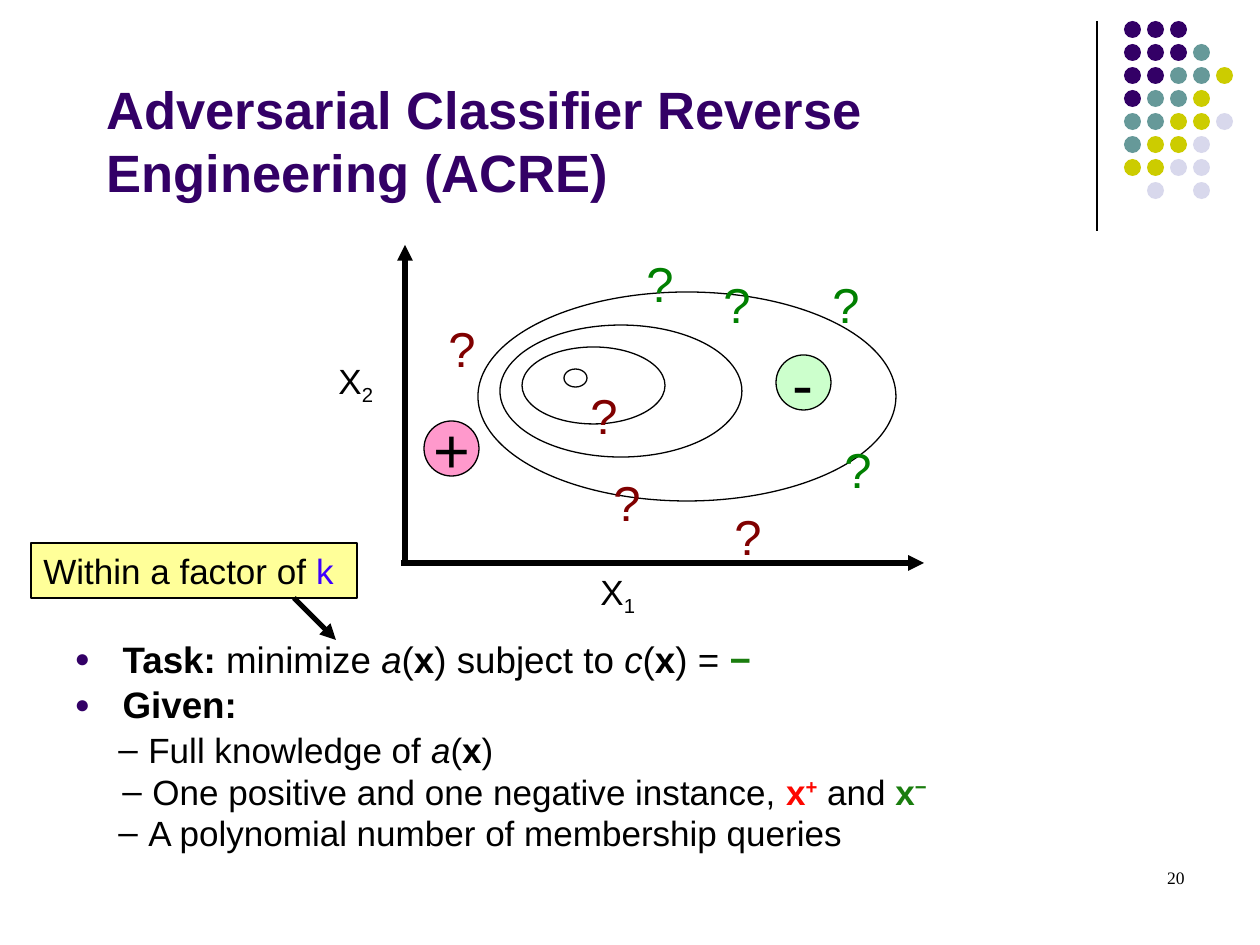
"""Build the slide on Adversarial Classifier Reverse Engineering (ACRE)."""
from lxml import etree
from pptx import Presentation
from pptx.dml.color import RGBColor
from pptx.enum.shapes import MSO_CONNECTOR, MSO_SHAPE
from pptx.enum.text import MSO_ANCHOR, MSO_AUTO_SIZE, PP_ALIGN
from pptx.oxml.ns import qn
from pptx.util import Pt

PX = 914400 / 126
OVAL, RECT = MSO_SHAPE.OVAL, MSO_SHAPE.RECTANGLE
STRAIGHT = MSO_CONNECTOR.STRAIGHT
TOP, MIDDLE, BOTTOM = MSO_ANCHOR.TOP, MSO_ANCHOR.MIDDLE, MSO_ANCHOR.BOTTOM
LEFT, CENTER, RIGHT = PP_ALIGN.LEFT, PP_ALIGN.CENTER, PP_ALIGN.RIGHT
NO_AUTOFIT = MSO_AUTO_SIZE.NONE
COLORS = {
    "black": "000000", "purple": "330066", "teal": "669999", "olive": "CCCC00",
    "lavender": "D8D8EC", "mint": "CCFFCC", "pink": "FF99CC", "yellow": "FFFF99",
    "green": "008000", "maroon": "800000", "minus": "1A7D0E", "plus": "FD0700",
    "blue": "3F00FF",
}


def write(paragraph, text, size=20, color="black", bold=False, italic=False,
          baseline=0, font="Arial"):
    run = paragraph.add_run()
    run.text = text
    run.font.size = Pt(size)
    run.font.name = font
    run.font.bold = bold
    run.font.italic = italic
    run.font.color.rgb = RGBColor.from_string(COLORS[color])
    if baseline:
        run.font._element.set("baseline", str(baseline * 1000))


def add_bullet(paragraph, char, color, percent, margin, hang):
    properties = paragraph._p.get_or_add_pPr()
    properties.set("marL", str(round(margin * PX)))
    properties.set("indent", str(round(-hang * PX)))
    bullet_color = etree.SubElement(properties, qn("a:buClr"))
    etree.SubElement(bullet_color, qn("a:srgbClr"), val=COLORS[color])
    etree.SubElement(properties, qn("a:buSzPct"), val=str(percent * 1000))
    etree.SubElement(properties, qn("a:buFont"), typeface="Arial")
    etree.SubElement(properties, qn("a:buChar"), char=char)


deck = Presentation()
deck.slide_width, deck.slide_height = round(1260 * PX), round(945 * PX)
slide = deck.slides.add_slide(deck.slide_layouts[1])
title, body = slide.shapes.title, slide.placeholders[1]

for holder, box, anchor in [
    (title, (94, 52, 1071, 157), BOTTOM),
    (body, (62, 630, 1134, 214), TOP),
]:
    holder.left, holder.top, holder.width, holder.height = [round(v * PX) for v in box]
    holder.text_frame.auto_size = NO_AUTOFIT
    holder.text_frame.vertical_anchor = anchor

heading = title.text_frame.paragraphs[0]
heading.alignment = LEFT
write(heading, "Adversarial Classifier Reverse Engineering (ACRE)",
      size=30, color="purple", bold=True)

task = body.text_frame.paragraphs[0]
given = body.text_frame.add_paragraph()
for item, gap in [(task, 0), (given, 1)]:
    add_bullet(item, "●", "purple", 70, 48, 48)
    item.space_before = Pt(gap)
for text, style in [
    ("Task:", {"bold": True}), (" minimize ", {}), ("a", {"italic": True}),
    ("(", {}), ("x", {"bold": True}), (") subject to ", {}),
    ("c", {"italic": True}), ("(", {}), ("x", {"bold": True}), (") = ", {}),
    ("−", {"bold": True, "color": "minus"}),
]:
    write(task, text, size=21, **style)
write(given, "Given:", size=21, bold=True)

DOT_COLORS = {"P": "purple", "T": "teal", "O": "olive", "L": "lavender"}
DOT_ROWS = ["PPP", "PPPT", "PPTTO", "PTTO", "TTOOL", "TOOL", "OOLL", "-L-L"]
figures = [
    (OVAL, (1124 + 23 * column, 21 + 23 * row, 17, 17), DOT_COLORS[dot], False, [])
    for row, dots in enumerate(DOT_ROWS)
    for column, dot in enumerate(dots) if dot in DOT_COLORS
]
contours = [(564, 369, 23, 18), (522, 347, 143, 77), (500, 325, 242, 132),
            (478, 292, 418, 209)]
figures += [(OVAL, contour, None, True, []) for contour in contours]
figures += [
    (OVAL, (776, 355, 55, 55), "mint", True, [("-", {"size": 36})]),
    (OVAL, (424, 421, 55, 55), "pink", True, [("+", {"size": 36})]),
    (RECT, (31, 543, 326, 55), "yellow", True,
     [("Within a factor of ", {}), ("k", {"color": "blue"})]),
]
for preset, box, fill, outlined, runs in figures:
    figure = slide.shapes.add_shape(preset, *[round(v * PX) for v in box])
    figure.shadow.inherit = False
    if fill:
        figure.fill.solid()
        figure.fill.fore_color.rgb = RGBColor.from_string(COLORS[fill])
    else:
        figure.fill.background()
    if outlined:
        figure.line.color.rgb = RGBColor.from_string(COLORS["black"])
        figure.line.width = Pt(0.75)
    else:
        figure.line.fill.background()
    if runs:
        figure.text_frame.word_wrap = preset == RECT
        figure.text_frame.vertical_anchor = TOP if preset == RECT else MIDDLE
        label = figure.text_frame.paragraphs[0]
        label.alignment = LEFT if preset == RECT else CENTER
        for text, style in runs:
            write(label, text, **style)

for ends, width, arrow in [
    ((1097, 21, 1097, 231), 0.75, False),
    ((405, 563, 405, 245), 3, True),
    ((401, 563, 924, 563), 3, True),
    ((294, 598, 336, 640), 3, True),
]:
    line = slide.shapes.add_connector(STRAIGHT, *[round(v * PX) for v in ends])
    line.line.color.rgb = RGBColor.from_string(COLORS["black"])
    line.line.width = Pt(width)
    if arrow:
        etree.SubElement(line.line._get_or_add_ln(), qn("a:tailEnd"), type="triangle")
    etree.SubElement(line._element.spPr, qn("a:effectLst"))

queries = {
    "green": [(711, 268), (820, 268), (634, 247), (832, 433)],
    "maroon": [(722, 500), (601, 466), (578, 379), (436, 312)],
}
labels = [
    ((x, y, 52, 72), [("?", {"size": 28, "color": color})])
    for color, spots in queries.items() for x, y in spots
]
labels += [
    ((x, y, 70, 60), [("X", {}), (digit, {"baseline": -25})])
    for x, y, digit in [(588, 564, "1"), (326, 353, "2")]
]
for box, runs in labels:
    frame = slide.shapes.add_textbox(*[round(v * PX) for v in box]).text_frame
    frame.word_wrap = True
    for text, style in runs:
        write(frame.paragraphs[0], text, **style)

for box, runs in [
    ((73, 727, 452, 50),
     [("Full knowledge of ", {}), ("a", {"italic": True}), ("(", {}),
      ("x", {"bold": True}), (")", {})]),
    ((77, 769, 877, 50),
     [("One positive and one negative instance, ", {}),
      ("x", {"color": "plus", "bold": True}),
      ("+", {"color": "plus", "bold": True, "baseline": 30}), (" and ", {}),
      ("x", {"color": "minus", "bold": True}),
      ("−", {"color": "minus", "bold": True, "baseline": 30})]),
    ((73, 810, 803, 88), [("A polynomial number of membership queries", {})]),
]:
    frame = slide.shapes.add_textbox(*[round(v * PX) for v in box]).text_frame
    frame.word_wrap = True
    known = frame.paragraphs[0]
    add_bullet(known, "–", "black", 100, 63, 30)
    known.line_spacing = 0.9
    for text, style in runs:
        write(known, text, **style)

number_box = slide.shapes.add_textbox(*[round(v * PX) for v in (903, 861, 294, 63)])
number_box.text_frame.word_wrap = True
page_number = number_box.text_frame.paragraphs[0]
page_number.alignment = RIGHT
write(page_number, "20", size=10, font="Times New Roman")

deck.save("out.pptx")
